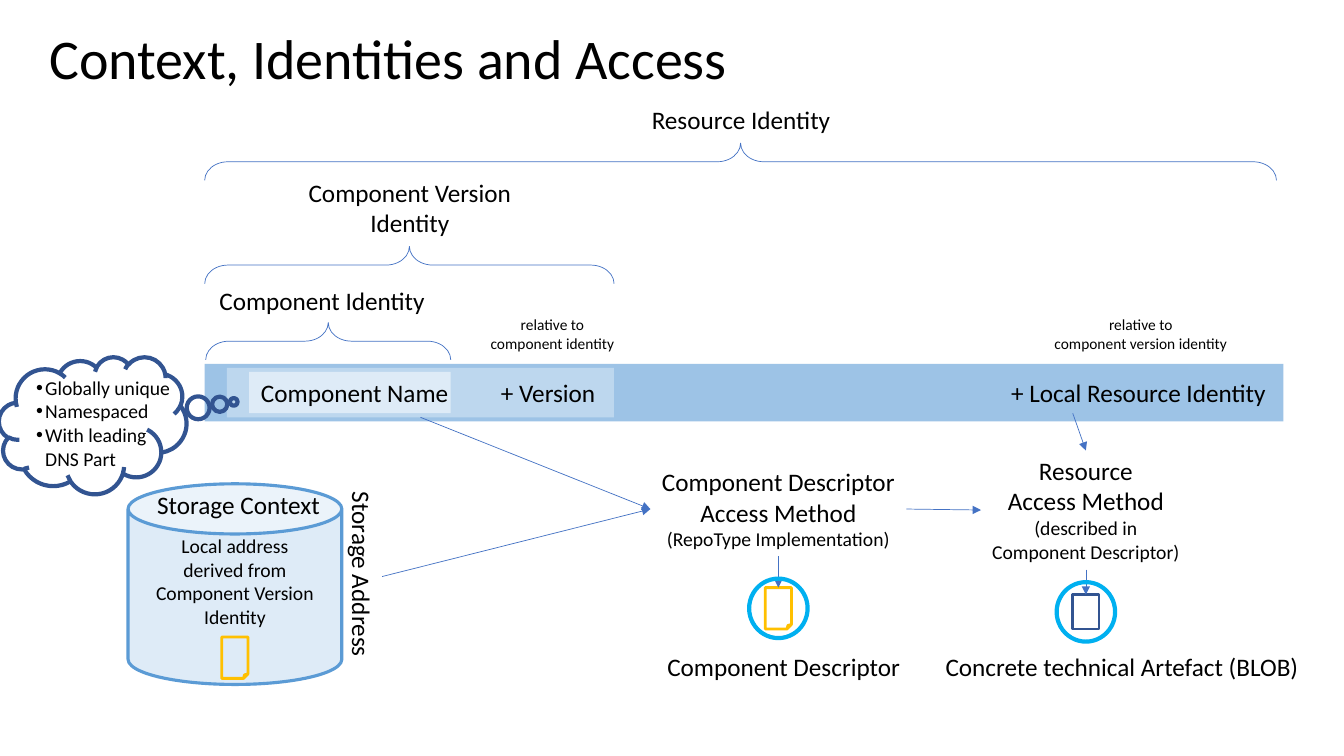
from dataclasses import dataclass

from lxml.etree import SubElement
from pptx import Presentation
from pptx.dml.color import RGBColor
from pptx.enum.shapes import MSO_CONNECTOR, MSO_SHAPE as Preset
from pptx.enum.text import MSO_ANCHOR, MSO_AUTO_SIZE, PP_ALIGN as Align
from pptx.oxml.ns import qn
from pptx.util import Inches, Pt

COLORS = {"text": "000000", "bar": "9DC3E6", "version": "BDD7EE", "name": "DEEBF7",
          "store": "5B9BD5", "flow": "4472C4", "page": "FFC000", "ring": "00B0F0",
          "navy": "325491"}
CELL = Inches(0.1)
FONT = "Calibri"


@dataclass
class Box:
    """A region measured in grid columns and rows."""
    left: float
    top: float
    width: float
    height: float

    def inner(self, col, row, cols, rows):
        """Return a box placed relative to this one."""
        return Box(self.left + col, self.top + row, cols, rows)

    def point(self, col, row):
        """Return a point placed relative to this box."""
        return self.left + col, self.top + row

    def turned(self):
        """Return the unrotated frame of a box shown at a quarter turn."""
        shift = (self.width - self.height) / 2
        return Box(self.left + shift, self.top - shift, self.height, self.width)

    def emu(self):
        """Return left, top, width and height in EMU."""
        return [round(n * CELL) for n in (self.left, self.top, self.width, self.height)]


def color(name):
    """Look up a palette colour."""
    return RGBColor.from_string(COLORS[name])


def draw(slide, preset, box, fill=None, line=None, weight=1, adjust=(), turn=0):
    """Draw a preset shape with a plain fill and outline."""
    shape = slide.shapes.add_shape(preset, *box.emu())
    shape.shadow.inherit = False
    shape.rotation = turn
    for index, value in enumerate(adjust):
        shape.adjustments[index] = value
    if fill:
        shape.fill.solid()
        shape.fill.fore_color.rgb = color(fill)
    else:
        shape.fill.background()
    if line:
        shape.line.color.rgb = color(line)
        shape.line.width = Pt(weight)
    else:
        shape.line.fill.background()


def fill_text(frame, text, sizes, align, wrap=False):
    """Set text and format each paragraph; the last size repeats."""
    frame.text = text
    frame.word_wrap = wrap
    frame.auto_size = MSO_AUTO_SIZE.SHAPE_TO_FIT_TEXT
    frame.vertical_anchor = MSO_ANCHOR.TOP
    for index, paragraph in enumerate(frame.paragraphs):
        paragraph.alignment = align
        for run in paragraph.runs:
            run.font.name = FONT
            run.font.size = Pt(sizes[min(index, len(sizes) - 1)])
            run.font.color.rgb = color("text")


def write(slide, box, text, sizes=(18,), align=Align.LEFT, turn=0, wrap=False):
    """Add a text box and return its frame."""
    label = slide.shapes.add_textbox(*box.emu())
    label.rotation = turn
    fill_text(label.text_frame, text, sizes, align, wrap)
    return label.text_frame


def arrow(slide, start, end):
    """Draw a thin arrow between two grid points."""
    ends = [round(n * CELL) for n in (*start, *end)]
    flow = slide.shapes.add_connector(MSO_CONNECTOR.STRAIGHT, *ends)
    flow.line.color.rgb = color("flow")
    flow.line.width = Pt(0.5)
    outline = flow._element.spPr
    SubElement(outline.find(qn("a:ln")), qn("a:tailEnd"), type="triangle")
    SubElement(outline, qn("a:effectLst"))


def add_title(slide, box):
    """Place and format the slide title."""
    title = slide.shapes.title
    title.left, title.top, title.width, title.height = box.emu()
    fill_text(title.text_frame, "Context, Identities and Access", (40,), Align.LEFT)


def add_identities(slide, box):
    """Draw the nested identity bar with its braces and labels."""
    for fill, place in (("bar", (0, 26.2, 107, 5.7)),
                        ("version", (2.2, 26.6, 38.4, 4.9)),
                        ("name", (4.4, 27, 20, 4.1))):
        draw(slide, Preset.RECTANGLE, box.inner(*place), fill)
    for text, col, cols in (("Component Name", 4.6, 20.8), ("+ Version", 28.4, 12.2),
                            ("+ Local Resource Identity", 79, 27.6)):
        write(slide, box.inner(col, 27, cols, 4), text, wrap=text == "+ Version")
    for col, row, cols in ((0.1, 22.1, 24.3), (0, 14.55, 40.6), (0, 4.3, 106.3)):
        draw(slide, Preset.LEFT_BRACE, box.inner(col, row, cols, 3.7).turned(),
             line="flow", weight=0.5, adjust=(0.624, 0.5), turn=90)
    for text, place in (("Resource Identity", (42.9, 0, 20.6, 4)),
                        ("Component Version\nIdentity", (9.2, 7.2, 22.3, 7.1)),
                        ("Component Identity", (0, 17.9, 23.3, 4))):
        write(slide, box.inner(*place), text, align=Align.CENTER)
    for scope, col, cols in (("component identity", 27.3, 14.4),
                             ("component version identity", 83.2, 19.3)):
        write(slide, box.inner(col, 20.9, cols, 4.7), "relative to\n" + scope,
              (11,), Align.CENTER)


def add_storage(slide, box):
    """Draw the storage cylinder with its address."""
    draw(slide, Preset.CAN, box, "name", "store", 2.25)
    write(slide, box.inner(1.9, 0.1, 18.3, 4), "Storage Context")
    write(slide, box.inner(1.7, 4.5, 17.8, 10.4),
          "Local address\nderived from\nComponent Version\nIdentity", (14,), Align.CENTER)
    write(slide, box.inner(21.2, -0.2, 4, 18.6).turned(), "Storage Address", turn=90)
    draw(slide, Preset.FOLDED_CORNER, box.inner(9.3, 15.2, 2.6, 4.1), line="page", weight=2)


def add_artefact(slide, box, preset, outline, page_top, page_rows, label, label_col, cols):
    """Draw a ringed page below its arrow and above its label."""
    middle = box.width / 2
    ring_top = page_top + page_rows / 2 - 2.95
    draw(slide, preset, box.inner(middle - 1.3, page_top, 2.6, page_rows),
         line=outline, weight=2)
    arrow(slide, box.point(middle, 0), box.point(middle, page_top))
    draw(slide, Preset.OVAL, box.inner(0, ring_top, box.width, 5.9), line="ring", weight=3)
    write(slide, box.inner(label_col, box.height - 4, cols, 4), label)


def add_access(slide, box):
    """Draw the access methods, their flows and the artefacts they yield."""
    write(slide, box.inner(26.6, 4.8, 25.4, 9.4),
          "Component Descriptor\nAccess Method\n(RepoType Implementation)",
          (18, 18, 14), Align.CENTER)
    write(slide, box.inner(59.4, 3.7, 20.8, 11.8),
          "Resource\nAccess Method\n(described in\nComponent Descriptor)",
          (18, 18, 14), Align.CENTER)
    for start, end in (((3.8, 0.4), (26.6, 9.5)), ((0, 16.2), (26.6, 9.5)),
                       ((52, 9.5), (59.4, 9.6)), ((68.5, 0), (69.8, 3.7))):
        arrow(slide, box.point(*start), box.point(*end))
    add_artefact(slide, box.inner(36.4, 14.2, 5.8, 12.9), Preset.FOLDED_CORNER, "page",
                 3.1, 4.1, "Component Descriptor", -9.1, 25.4)
    add_artefact(slide, box.inner(66.9, 15.5, 5.8, 11.6), Preset.RECTANGLE, "navy",
                 2.5, 3.4, "Concrete technical Artefact (BLOB)", -12, 37.4)


def add_thought(slide, box):
    """Draw the cloud describing the component name."""
    traits = write(slide, box.inner(2.7, 1.4, 15.5, 10.4),
                   "Globally unique\nNamespaced\nWith leading\vDNS Part", (14,))
    indent = Inches(0.09)
    for paragraph in traits.paragraphs:
        layout = paragraph._p.get_or_add_pPr()
        layout.set("marL", str(indent))
        layout.set("indent", str(-indent))
        SubElement(layout, qn("a:buFont"), typeface="Arial")
        SubElement(layout, qn("a:buChar"), char="•")
    draw(slide, Preset.CLOUD_CALLOUT, box, line="navy", weight=3, adjust=(0.752, -0.171))


def main():
    """Build and save the slide."""
    deck = Presentation()
    deck.slide_width, deck.slide_height = Inches(13.33), Inches(7.5)
    slide = deck.slides.add_slide(deck.slide_layouts[5])
    add_title(slide, Box(3.9, 1.8, 70, 7.7))
    add_identities(slide, Box(20.3, 9.9, 107, 31.9))
    add_storage(slide, Box(12.7, 48, 21.2, 19.9))
    add_access(slide, Box(37.9, 41, 92.3, 27.1))
    add_thought(slide, Box(-0.1, 35.4, 18.6, 13.6))
    deck.save("out.pptx")


main()
